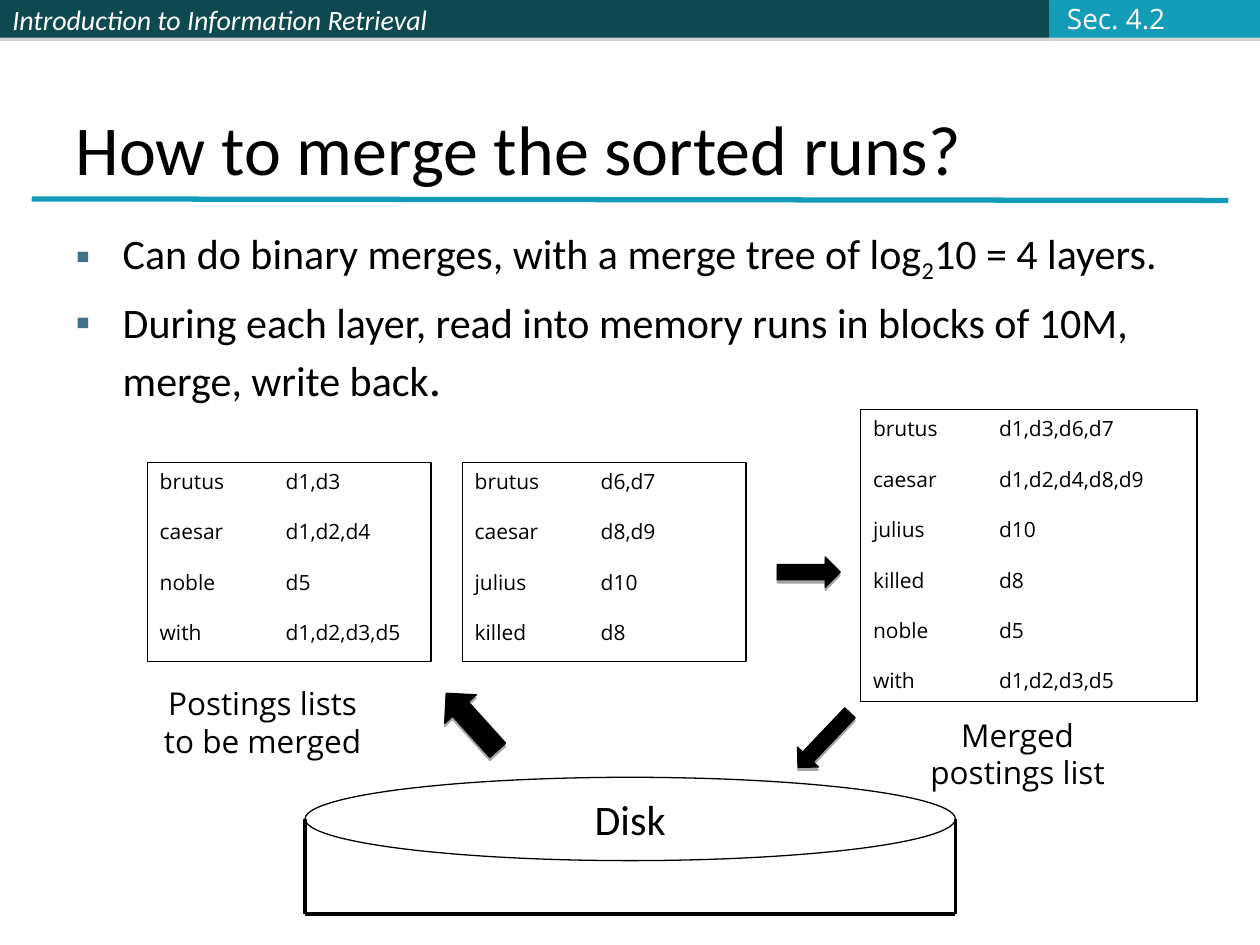
"""Builds the slide on merging sorted runs of postings lists."""
import lxml.etree
import pptx
import pptx.dml.color
import pptx.enum.shapes
import pptx.enum.text
import pptx.oxml.ns
import pptx.util

Cm, Pt = pptx.util.Cm, pptx.util.Pt
SHAPE = pptx.enum.shapes.MSO_SHAPE
ALIGN = pptx.enum.text.PP_ALIGN
ANCHOR = pptx.enum.text.MSO_ANCHOR
BLACK, WHITE, DARK, TEAL, BULLET = "000000", "FFFFFF", "0E4851", "139CB7", "437085"
SANS, BODY = "Open Sans", "Calibri"

COURSE = "Introduction to Information Retrieval"
SECTION = "Sec. 4.2"
TITLE = "How to merge the sorted runs?"
BULLETS = [
    [("Can do binary merges, with a merge tree of log", {}), ("2", {"baseline": -25000}),
     ("10 = 4 layers.", {})],
    [("During each layer, read into memory runs in blocks of 10M, merge, write back", {}),
     (".", {"size": 28})],
]
POSTINGS = [
    ((2.97, 9.32, 5.72, 4.02),
     [("brutus", "d1,d3"), ("caesar", "d1,d2,d4"), ("noble", "d5"), ("with", "d1,d2,d3,d5")]),
    ((9.32, 9.32, 5.72, 4.02),
     [("brutus", "d6,d7"), ("caesar", "d8,d9"), ("julius", "d10"), ("killed", "d8")]),
    ((17.35, 8.26, 6.78, 5.89),
     [("brutus", "d1,d3,d6,d7"), ("caesar", "d1,d2,d4,d8,d9"), ("julius", "d10"),
      ("killed", "d8"), ("noble", "d5"), ("with", "d1,d2,d3,d5")]),
]
DOCS_OFFSET = 2.54
CAPTIONS = [((3.02, 13.67, 4.55, 1.78), ["Postings lists", "to be merged"]),
            ((18.47, 14.3, 4.09, 1.78), ["Merged", "postings list"])]
ARROWS = [((15.67, 11.23, 1.27, 0.61), 0), ((8.74, 14.12, 1.55, 0.86), 227.9),
          ((15.85, 14.63, 1.52, 0.58), 133.5)]
HEADER_H = 0.76
HEADER = [(0, 10.36, DARK), (10.36, 10.8, DARK), (21.16, 4.24, TEAL)]
DISK_L, DISK_R, DISK_TOP, DISK_RIM, DISK_BASE = 6.15, 19.26, 15.67, 16.51, 18.42


def rgb(color):
    return pptx.dml.color.RGBColor.from_string(color)


def child(parent, tag, **attrs):
    el = lxml.etree.SubElement(parent, pptx.oxml.ns.qn(tag))
    for name, value in attrs.items():
        el.set(name, str(value))
    return el


def write(tf, paras, size=18, font=SANS, color=BLACK, italic=False, align=ALIGN.LEFT,
          anchor=ANCHOR.TOP, wrap=True, spacing=None, after=0):
    tf.word_wrap, tf.vertical_anchor = wrap, anchor
    tf.auto_size = pptx.enum.text.MSO_AUTO_SIZE.NONE
    for i, runs in enumerate(paras):
        p = tf.paragraphs[0] if i == 0 else tf.add_paragraph()
        p.alignment, p.space_before, p.space_after = align, Pt(0), Pt(after)
        if spacing:
            p.line_spacing = Pt(spacing)
        for text, fmt in [(runs, {})] if isinstance(runs, str) else runs:
            r = p.add_run()
            r.text = text
            r.font.size, r.font.name = Pt(fmt.get("size", size)), font
            r.font.italic, r.font.color.rgb = italic, rgb(color)
            if "baseline" in fmt:
                r.font._element.set("baseline", str(fmt["baseline"]))


def add_text(parent, box, paras, **fmt):
    write(parent.add_textbox(*map(Cm, box)).text_frame, paras, **fmt)


def add_shape(parent, kind, box, fill=None, line=None, shadow=None):
    sp = parent.add_shape(kind, *map(Cm, box))
    sp.shadow.inherit = False
    if fill:
        sp.fill.solid()
        sp.fill.fore_color.rgb = rgb(fill)
    else:
        sp.fill.background()
    if line:
        sp.line.color.rgb, sp.line.width = rgb(line), Pt(0.74)
    else:
        sp.line.fill.background()
    if shadow:
        effects = sp._element.spPr.find(pptx.oxml.ns.qn("a:effectLst"))
        outer = child(effects, "a:outerShdw", blurRad=0, dist=Pt(1.8), dir=5400000,
                      rotWithShape=0)
        child(child(outer, "a:srgbClr", val=shadow), "a:alpha", val=35000)
    return sp


def add_line(parent, ends, color, width):
    ln = parent.add_connector(pptx.enum.shapes.MSO_CONNECTOR.STRAIGHT, *map(Cm, ends))
    ln.line.color.rgb, ln.line.width = rgb(color), Pt(width)
    child(ln._element.spPr, "a:effectLst")


def place(sp, box):
    sp.left, sp.top, sp.width, sp.height = map(Cm, box)


prs = pptx.Presentation()
prs.slide_width, prs.slide_height = Cm(25.4), Cm(19.05)
s = prs.slides.add_slide(prs.slide_layouts[1])
shapes = s.shapes
title, body = s.placeholders

place(title, (1.27, HEADER_H, 22.86, 3.18))
write(title.text_frame, [TITLE], size=40, font=BODY, anchor=ANCHOR.BOTTOM)
place(body, (1.27, 4.45, 22.86, 13.77))
write(body.text_frame, BULLETS, size=24, font=BODY)
for p, before in zip(body.text_frame.paragraphs, (6, 7)):
    p.space_before = Pt(before)
    pPr = p._p.get_or_add_pPr()
    pPr.set("marL", str(Cm(0.95)))
    pPr.set("indent", str(Cm(-0.95)))
    child(child(pPr, "a:buClr"), "a:srgbClr", val=BULLET)
    child(pPr, "a:buFont", typeface="Arial")
    child(pPr, "a:buChar", char="\u25aa")

bars = [add_shape(shapes, SHAPE.RECTANGLE, (x, 0, w, HEADER_H), fill=color, shadow="808080")
        for x, w, color in HEADER]
write(bars[0].text_frame, [COURSE], size=16, font=BODY, color=WHITE, italic=True,
      anchor=ANCHOR.MIDDLE)
add_text(shapes, (21.26, -0.1, 2.49, 0.94), [SECTION], size=16, color="FBFCFF",
         anchor=ANCHOR.MIDDLE, wrap=False)
add_line(shapes, (0.64, 4.01, 24.76, 4.04), TEAL, 3)

disk = add_shape(shapes, SHAPE.OVAL,
                 (DISK_L, DISK_TOP, DISK_R - DISK_L, 2 * (DISK_RIM - DISK_TOP)), line=BLACK)
write(disk.text_frame, ["Disk"], size=24, font=BODY, align=ALIGN.CENTER, anchor=ANCHOR.MIDDLE)
for ends in [(DISK_L, DISK_RIM, DISK_L, DISK_BASE), (DISK_R, DISK_RIM, DISK_R, DISK_BASE),
             (DISK_R, DISK_BASE, DISK_L, DISK_BASE)]:
    add_line(shapes, ends, BLACK, 2)

for (x, y, w, h), rows in POSTINGS:
    group = shapes.add_group_shape().shapes
    terms, docs = zip(*rows)
    add_shape(group, SHAPE.RECTANGLE, (x, y, w, h), line=BLACK)
    for left, width, column in [(x, 2.74, terms), (x + DOCS_OFFSET, w - DOCS_OFFSET, docs)]:
        add_text(group, (left, y, width, h), column, size=12, spacing=14.4, after=14.4)

for box, lines in CAPTIONS:
    add_text(shapes, box, lines, align=ALIGN.CENTER, wrap=False, spacing=21.6)

for box, angle in ARROWS:
    arrow = add_shape(shapes, SHAPE.RIGHT_ARROW, box, fill=BLACK, line=BLACK, shadow=BLACK)
    arrow.rotation = angle

prs.save("out.pptx")
